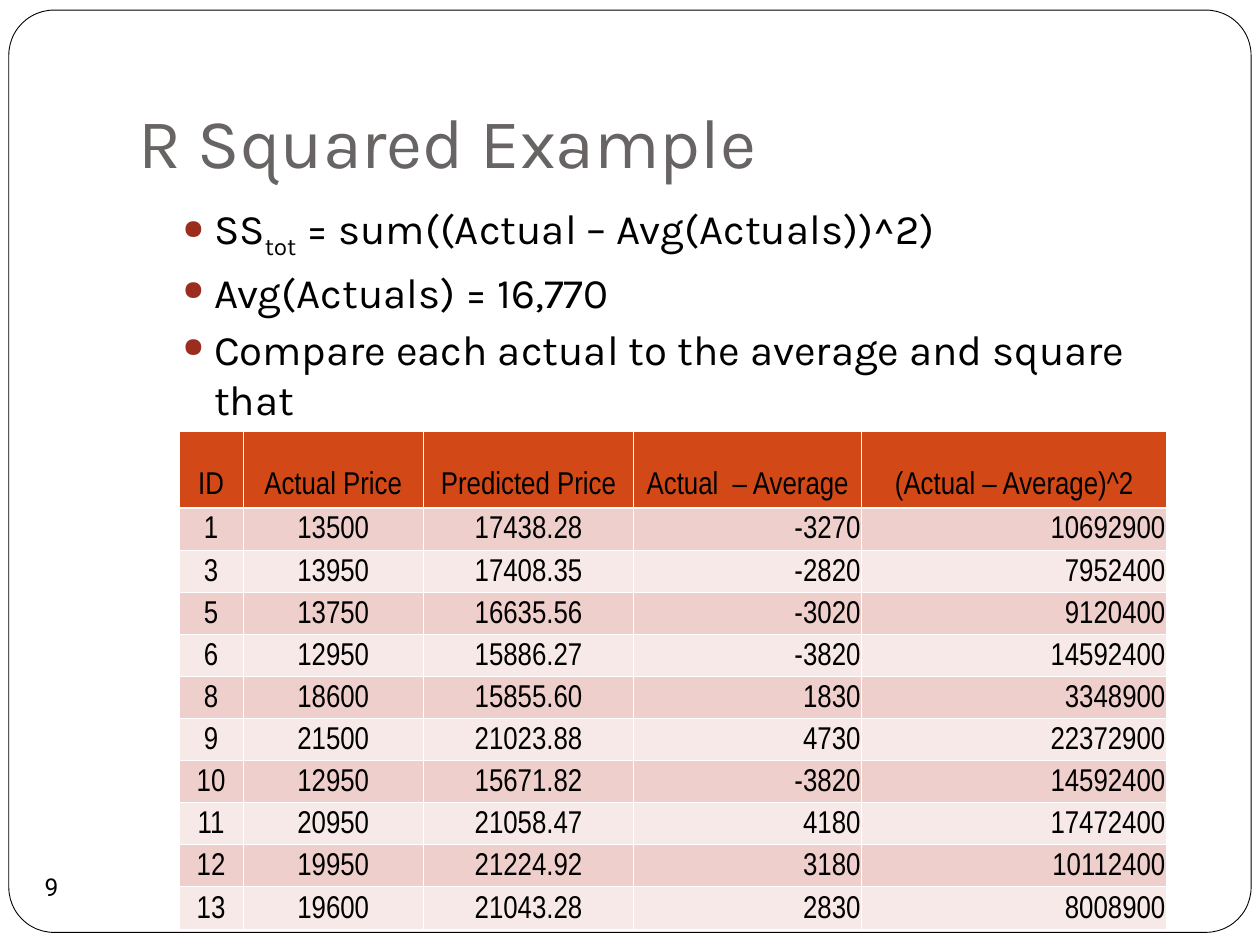
"""Build the R Squared Example slide: three bullets above a table of squared deviations."""
from lxml import etree
from pptx import Presentation
from pptx.dml.color import RGBColor
from pptx.enum import shapes, text
from pptx.oxml import ns
from pptx.util import Inches, Pt

BLACK = RGBColor(0x00, 0x00, 0x00)
WHITE = RGBColor(0xFF, 0xFF, 0xFF)
GREY = RGBColor(0x69, 0x64, 0x64)
BULLET = RGBColor(0x9B, 0x2D, 0x1F)
HEADER = RGBColor(0xD3, 0x48, 0x17)
BANDS = (RGBColor(0xEF, 0xCF, 0xCC), RGBColor(0xF7, 0xE9, 0xE7))

TITLE = "R Squared Example"
PAGE = "9"
BULLETS = [
    [("SS", False), ("tot", True), (" = sum((Actual – Avg(Actuals))^2)", False)],
    [("Avg(Actuals) = 16,770", False)],
    [("Compare each actual to the average and square that", False)],
]
HEADINGS = ["ID", "Actual Price", "Predicted Price", "Actual  – Average", "(Actual – Average)^2"]
AVERAGE = 16770
PRICES = [
    (1, 13500, 17438.28), (3, 13950, 17408.35), (5, 13750, 16635.56),
    (6, 12950, 15886.27), (8, 18600, 15855.60), (9, 21500, 21023.88),
    (10, 12950, 15671.82), (11, 20950, 21058.47), (12, 19950, 21224.92),
    (13, 19600, 21043.28),
]
COL_WIDTHS = [0.51, 1.43, 1.67, 1.81, 2.42]
HEADER_HEIGHT, ROW_HEIGHT = 0.61, 0.33
BODY_SPACING = 0.78
THIN, THICK = 0.45, 1.47


def add_run(p, content, size, font, color=BLACK):
    r = p.add_run()
    r.text = content
    r.font.size, r.font.name = Pt(size), font
    r.font.color.rgb = color
    return r


def add_text_box(slide, left, top, width, height):
    tf = slide.shapes.add_textbox(*map(Inches, (left, top, width, height))).text_frame
    tf.word_wrap = True
    return tf


def add_shape(slide, kind, left, top, width, height):
    s = slide.shapes.add_shape(kind, *map(Inches, (left, top, width, height)))
    s.shadow.inherit = False
    return s


def add_child(parent, tag, **attributes):
    return etree.SubElement(parent, ns.qn(tag), **attributes)


def set_bullet(p):
    pPr = p._p.get_or_add_pPr()
    pPr.set("marL", str(Inches(0.6)))
    pPr.set("indent", str(Inches(-0.25)))
    add_child(add_child(pPr, "a:buClr"), "a:srgbClr", val=str(BULLET))
    add_child(pPr, "a:buSzPct", val="65000")
    add_child(pPr, "a:buChar", char="●")


def set_borders(cell, top, bottom):
    tcPr = cell._tc.get_or_add_tcPr()
    for side, width in (("L", THIN), ("R", THIN), ("T", top), ("B", bottom)):
        ln = add_child(tcPr, f"a:ln{side}", w=str(Pt(width)))
        add_child(add_child(ln, "a:solidFill"), "a:srgbClr", val=str(WHITE))


def add_frame(slide):
    s = add_shape(slide, shapes.MSO_SHAPE.ROUNDED_RECTANGLE, 0.07, 0.08, 9.86, 7.32)
    s.adjustments[0] = 0.049
    s.fill.solid()
    s.fill.fore_color.rgb = WHITE
    s.line.color.rgb = BLACK
    s.line.width = Pt(0.5)


def add_bullets(slide):
    tf = add_text_box(slide, 1, 1.56, 8.42, 4.58)
    for i, runs in enumerate(BULLETS):
        p = tf.add_paragraph() if i else tf.paragraphs[0]
        p.level = 1
        set_bullet(p)
        if i:
            p.space_before = Pt(3.7)
        for content, subscript in runs:
            r = add_run(p, content, 24, "Karla")
            if subscript:
                r.font._element.set("baseline", "-25000")


def add_title(slide):
    tf = add_text_box(slide, 1, 0.3, 8.5, 1.25)
    tf.vertical_anchor = text.MSO_ANCHOR.BOTTOM
    tf.margin_bottom = Inches(0.1)
    add_run(tf.paragraphs[0], TITLE, 40, "Karla", GREY)


def add_page_number(slide):
    s = add_shape(slide, shapes.MSO_SHAPE.OVAL, 0.16, 6.79, 0.5, 0.5)
    s.fill.background()
    s.line.fill.background()
    tf = s.text_frame
    tf.word_wrap = False
    tf.vertical_anchor = text.MSO_ANCHOR.MIDDLE
    tf.margin_left = tf.margin_right = tf.margin_top = tf.margin_bottom = 0
    p = tf.paragraphs[0]
    p.alignment = text.PP_ALIGN.CENTER
    add_run(p, PAGE, 14, "Roboto")


def add_price_table(slide):
    rows = [HEADINGS]
    for number, actual, predicted in PRICES:
        gap = actual - AVERAGE
        rows.append([str(number), str(actual), f"{predicted:.2f}", str(gap), str(gap ** 2)])
    heights = [HEADER_HEIGHT] + [ROW_HEIGHT] * len(PRICES)
    table = slide.shapes.add_table(
        len(rows), len(HEADINGS), Inches(1.42), Inches(3.42),
        Inches(sum(COL_WIDTHS)), Inches(sum(heights))).table
    for column, width in zip(table.columns, COL_WIDTHS):
        column.width = Inches(width)
    for i, values in enumerate(rows):
        table.rows[i].height = Inches(heights[i])
        for j, value in enumerate(values):
            cell = table.cell(i, j)
            set_borders(cell, THICK if i == 1 else THIN, THICK if i == 0 else THIN)
            cell.fill.solid()
            cell.fill.fore_color.rgb = BANDS[(i - 1) % 2] if i else HEADER
            cell.vertical_anchor = text.MSO_ANCHOR.BOTTOM
            cell.margin_left = cell.margin_right = Inches(0.01)
            p = cell.text_frame.paragraphs[0]
            p.alignment = text.PP_ALIGN.RIGHT if i and j > 2 else text.PP_ALIGN.CENTER
            if i:
                p.line_spacing = BODY_SPACING
            add_run(p, value, 18, "Arial Narrow")


def main():
    prs = Presentation()
    prs.slide_width, prs.slide_height = Inches(10), Inches(7.5)
    slide = prs.slides.add_slide(prs.slide_layouts[6])
    add_frame(slide)
    add_bullets(slide)
    add_title(slide)
    add_page_number(slide)
    add_price_table(slide)
    prs.save("out.pptx")


if __name__ == "__main__":
    main()
